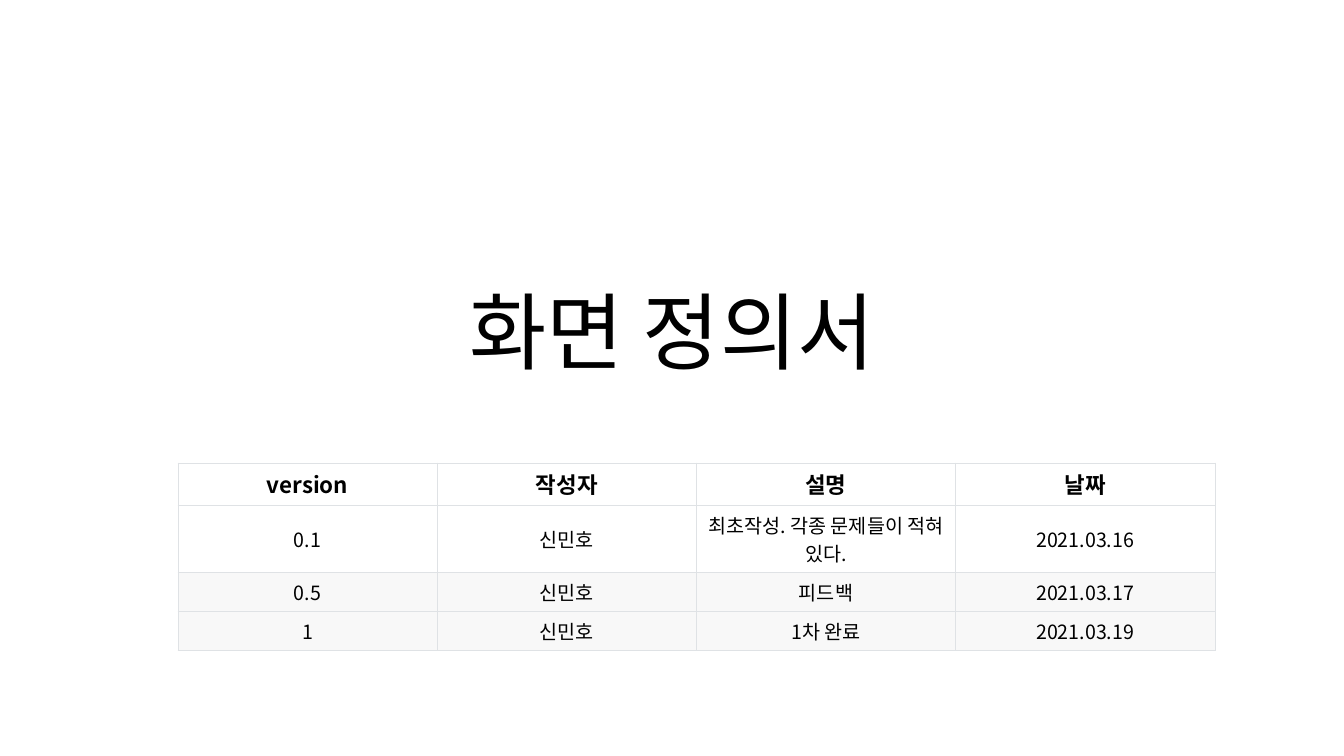
from lxml import etree
from pptx import Presentation
from pptx.dml.color import RGBColor
from pptx.enum import text
from pptx.oxml.ns import qn
from pptx.util import Emu, Pt

FONT = "Noto Sans CJK KR"
BLACK, WHITE, GREY, BORDER = "000000", "FFFFFF", "F8F8F8", "DFE2E5"

ROWS = [
    ("version", "작성자", "설명", "날짜"),
    ("0.1", "신민호", "최초작성. 각종 문제들이 적혀 있다.", "2021.03.16"),
    ("0.5", "신민호", "피드백", "2021.03.17"),
    ("1", "신민호", "1차 완료", "2021.03.19"),
]
ROW_HEIGHTS = [42, 67, 39, 39]
ROW_FILLS = [WHITE, WHITE, GREY, GREY]


def px(n):
    return Emu(round(n * 914400 / 100.8))


def rgb(value):
    return RGBColor.from_string(value)


def write(tf, words, size, bold=False):
    p = tf.paragraphs[0]
    p.text = words
    p.alignment = text.PP_ALIGN.CENTER
    p.font.size = Pt(size)
    p.font.bold = bold
    p.font.name = FONT
    p.font.color.rgb = rgb(BLACK)
    # Korean glyphs take the East Asian typeface
    defaults = p._p.pPr.find(qn("a:defRPr"))
    etree.SubElement(defaults, qn("a:ea"), typeface=FONT)
    return p


def set_borders(cell, color, width):
    tc_pr = cell._tc.get_or_add_tcPr()
    for i, side in enumerate(("lnL", "lnR", "lnT", "lnB")):
        line = etree.Element(qn(f"a:{side}"), w=str(Pt(width)))
        fill = etree.SubElement(line, qn("a:solidFill"))
        etree.SubElement(fill, qn("a:srgbClr"), val=color)
        tc_pr.insert(i, line)


def add_title(s, words, left, top, width, height):
    sp = s.shapes.title
    sp.left, sp.top, sp.width, sp.height = map(px, (left, top, width, height))
    tf = sp.text_frame
    tf.word_wrap = True
    tf.auto_size = text.MSO_AUTO_SIZE.NONE
    tf.vertical_anchor = text.MSO_ANCHOR.BOTTOM
    write(tf, words, 60).line_spacing = 0.9


def add_history(s, left, top, width):
    frame = s.shapes.add_table(len(ROWS), len(ROWS[0]), px(left), px(top),
                               px(width), px(sum(ROW_HEIGHTS)))
    table = frame.table
    for row, height in zip(table.rows, ROW_HEIGHTS):
        row.height = px(height)
    for r, (values, fill) in enumerate(zip(ROWS, ROW_FILLS)):
        for c, value in enumerate(values):
            cell = table.cell(r, c)
            cell.fill.solid()
            cell.fill.fore_color.rgb = rgb(fill)
            cell.vertical_anchor = text.MSO_ANCHOR.MIDDLE
            cell.margin_left = cell.margin_right = px(11)
            cell.margin_top = cell.margin_bottom = px(5)
            set_borders(cell, BORDER, 0.6)
            write(cell.text_frame, value, 16 if r == 0 else 14, bold=r == 0)


def main():
    prs = Presentation()
    prs.slide_width, prs.slide_height = px(1344), px(756)
    s = prs.slides.add_slide(prs.slide_layouts[5])
    s.background.fill.solid()
    s.background.fill.fore_color.rgb = rgb(WHITE)
    add_title(s, "화면 정의서", 168, 124, 1008, 263)
    add_history(s, 178, 463, 1037)
    prs.save("out.pptx")


if __name__ == "__main__":
    main()
